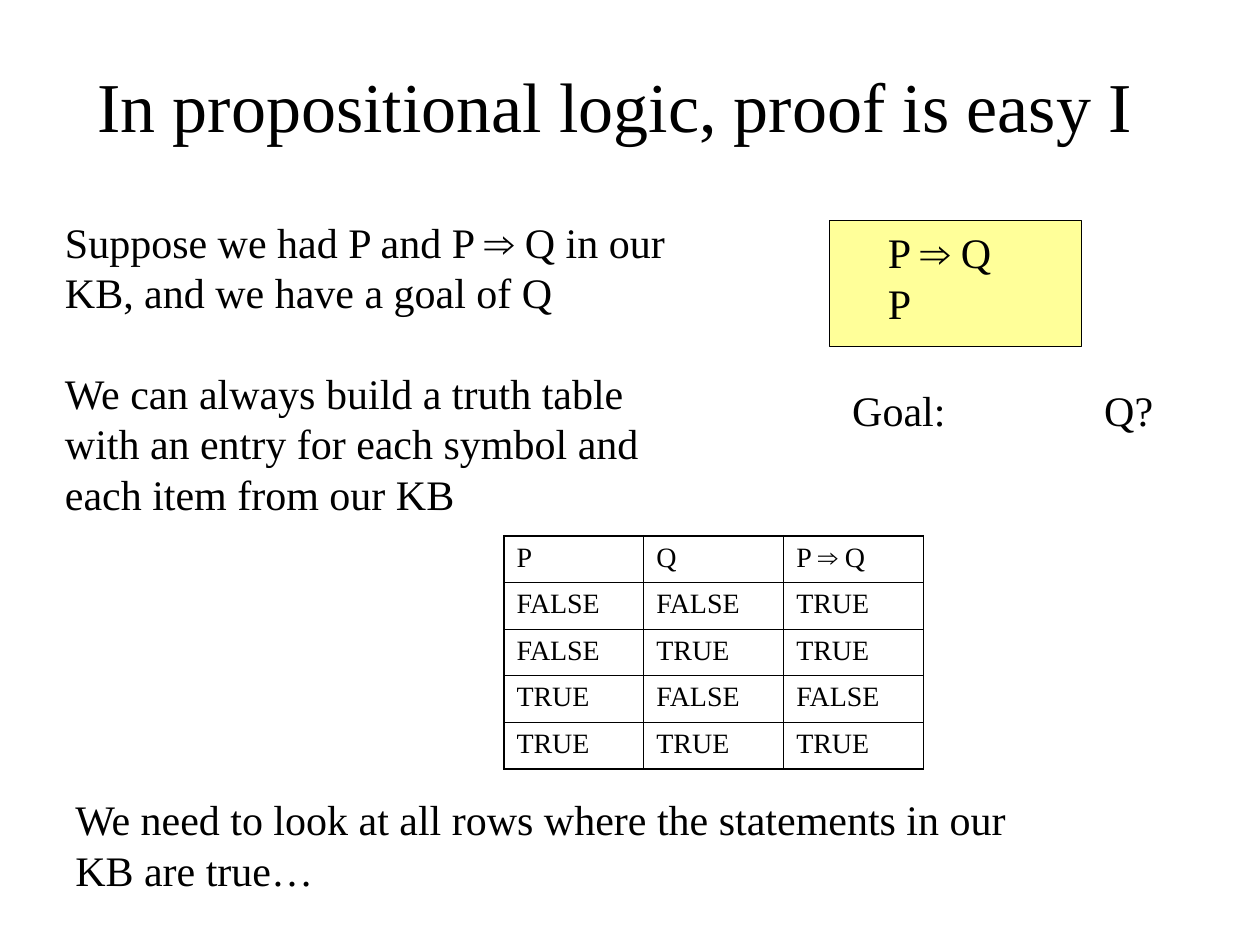
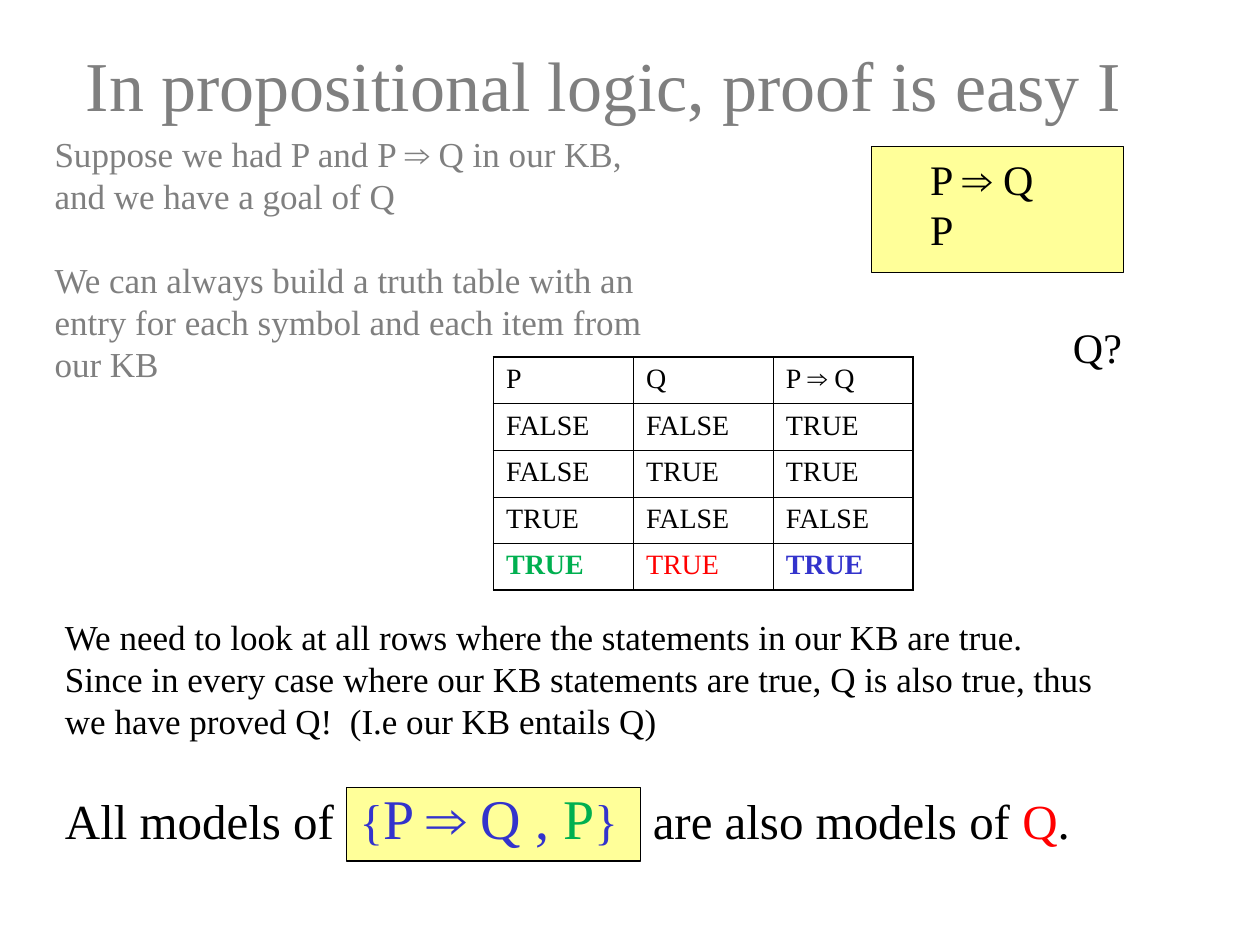
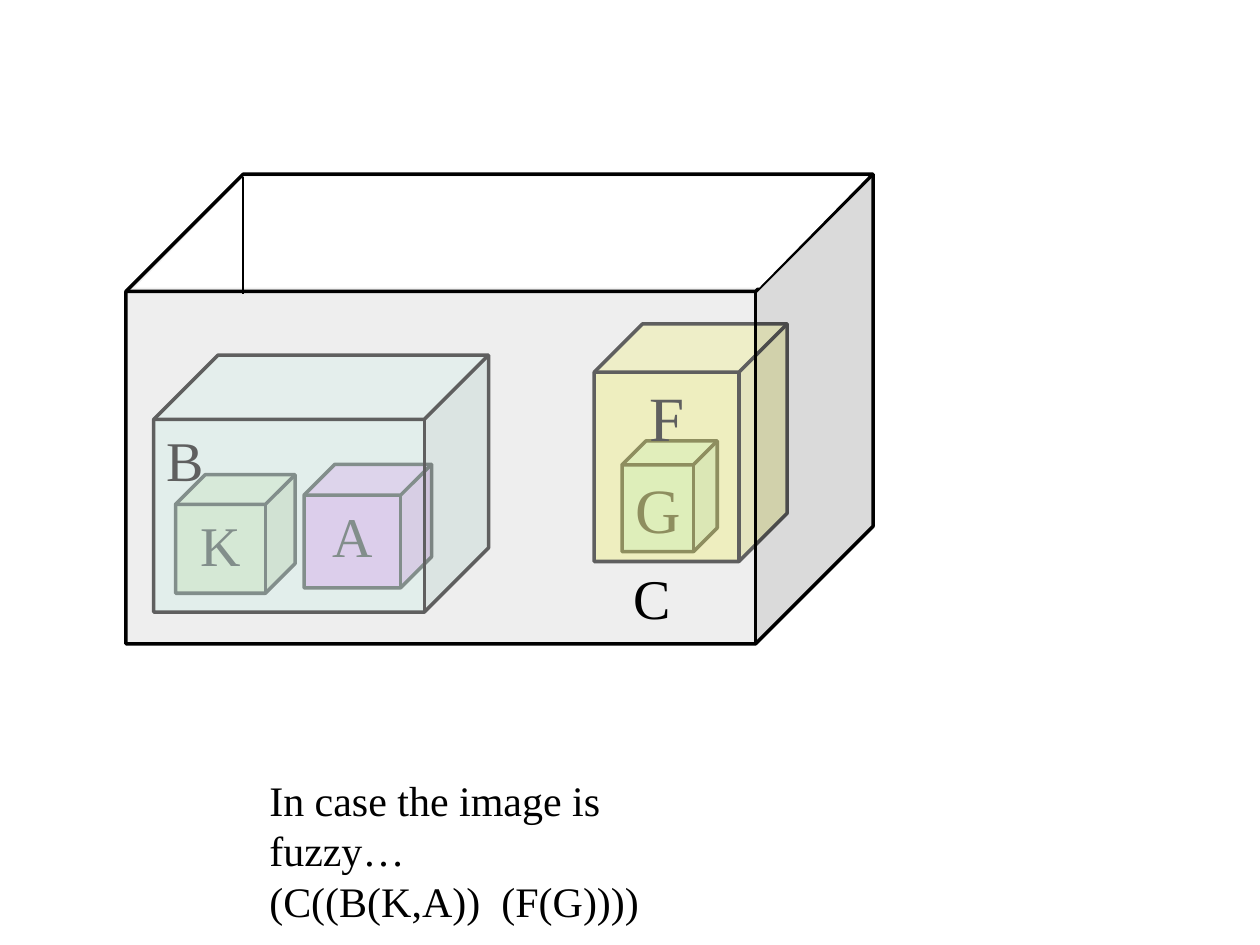
from itertools import groupby

from lxml.etree import SubElement
from pptx import Presentation
from pptx.dml.color import RGBColor
from pptx.enum.shapes import MSO_CONNECTOR as CONNECTOR, MSO_SHAPE as SHAPE
from pptx.enum.text import MSO_ANCHOR as ANCHOR, PP_ALIGN as ALIGN
from pptx.oxml.ns import qn
from pptx.util import Cm, Pt

SERIF, SYMBOL_FONT = "Times New Roman", "Arial"
BLACK, GRAY, WHITE = "000000", "7F7F7F", "FFFFFF"
YELLOW, GREEN, RED, BLUE = "FFFF99", "00B050", "FF0000", "3333CC"
LINE_FACTOR = 1.2
THIN, THICK = 0.45, 1.08
TITLE = "In propositional logic, proof is easy I"
SETUP = [
    "Suppose we had P and P ⇒ Q in our KB, and we have a goal of Q",
    "We can always build a truth table with an entry for each symbol "
    "and each item from our KB",
]
TRUTH_TABLE = [
    ["P", "Q", "P ⇒ Q"],
    ["FALSE", "FALSE", "TRUE"],
    ["FALSE", "TRUE", "TRUE"],
    ["TRUE", "FALSE", "FALSE"],
    ["TRUE", "TRUE", "TRUE"],
]


def rgb(color):
    return RGBColor.from_string(color)


def add_run(paragraph, text, size, color=BLACK, bold=False):
    """Add text, setting the implication arrow in the symbol font."""
    for is_arrow, letters in groupby(text, lambda letter: letter == "⇒"):
        run = paragraph.add_run()
        run.text = "".join(letters)
        values = {"name": SYMBOL_FONT if is_arrow else SERIF,
                  "size": Pt(size), "bold": bold}
        for name, value in values.items():
            setattr(run.font, name, value)
        run.font.color.rgb = rgb(color)


def set_line_height(paragraph, size):
    paragraph.line_spacing = Pt(LINE_FACTOR * size)


def set_tabs(paragraph, positions):
    tab_list = SubElement(paragraph._p.get_or_add_pPr(), qn("a:tabLst"))
    for position in positions:
        SubElement(tab_list, qn("a:tab"), pos=str(Cm(position)), algn="l")


def add_text(slide, box, texts, size, color=BLACK, gap=0):
    """Add a text box with one paragraph per text, gap points apart."""
    shape = slide.shapes.add_textbox(*map(Cm, box))
    frame = shape.text_frame
    frame.word_wrap = True
    for index, text in enumerate(texts):
        paragraph = frame.add_paragraph() if index else frame.paragraphs[0]
        set_line_height(paragraph, size)
        if index:
            paragraph.space_before = Pt(gap)
        add_run(paragraph, text, size, color)
    return frame


def add_title(slide, left, top, color=BLACK):
    frame = add_text(slide, (left, top, 24.33, 3.18), [TITLE], 40, color)
    frame.vertical_anchor = ANCHOR.MIDDLE
    frame.paragraphs[0].alignment = ALIGN.CENTER
    set_line_height(frame.paragraphs[0], 44)


def add_setup(slide, box, size, color=BLACK):
    add_text(slide, box, SETUP, size, color, gap=LINE_FACTOR * size)


def add_solid(slide, kind, box, fill, line_width=None):
    shape = slide.shapes.add_shape(kind, *map(Cm, box))
    shape.shadow.inherit = False
    shape.fill.solid()
    shape.fill.fore_color.rgb = rgb(fill)
    if line_width:
        shape.line.width = Pt(line_width)
        shape.line.color.rgb = rgb(BLACK)
    else:
        shape.line.fill.background()
    return shape


def add_knowledge_base(slide, left, top):
    add_solid(slide, SHAPE.RECTANGLE, (left, top, 5.08, 2.54), YELLOW, 0.75)
    add_text(slide, (left + 0.93, top, 3.2, 2.29), ["P ⇒ Q", "P"], 24)


def set_borders(cell, widths):
    properties = cell._tc.get_or_add_tcPr()
    for side, width in zip("LRTB", widths):
        line = SubElement(properties, qn(f"a:ln{side}"), w=str(Pt(width)))
        fill = SubElement(line, qn("a:solidFill"))
        SubElement(fill, qn("a:srgbClr"), val=BLACK)


def add_truth_table(slide, left, top, highlights=None):
    """Draw the table; highlights maps (row, column) to run formats."""
    highlights = highlights or {}
    rows, columns = len(TRUTH_TABLE), len(TRUTH_TABLE[0])
    column_width, row_height = 2.82, 0.94
    table = slide.shapes.add_table(
        rows, columns, Cm(left), Cm(top),
        Cm(columns * column_width), Cm(rows * row_height)).table
    table.first_row = table.horz_banding = False
    for row, texts in enumerate(TRUTH_TABLE):
        for column, text in enumerate(texts):
            cell = table.cell(row, column)
            edges = (column == 0, column == columns - 1,
                     row == 0, row == rows - 1)
            set_borders(cell, [THICK if edge else THIN for edge in edges])
            cell.fill.background()
            add_run(cell.text_frame.paragraphs[0], text, 16,
                    **highlights.get((row, column), {}))


def add_cube(slide, box, fill, opacity, label="", size=32, align=ALIGN.CENTER):
    cube = add_solid(slide, SHAPE.CUBE, box, fill, 2)
    color = cube._element.spPr.find(qn("a:solidFill")).find(qn("a:srgbClr"))
    SubElement(color, qn("a:alpha"), val=str(opacity * 1000))
    if label:
        cube.text_frame.vertical_anchor = ANCHOR.TOP
        paragraph = cube.text_frame.paragraphs[0]
        paragraph.alignment = align
        set_line_height(paragraph, size)
        add_run(paragraph, label, size)


def add_line(slide, start, end):
    line = slide.shapes.add_connector(
        CONNECTOR.STRAIGHT, *map(Cm, start + end))
    line.line.width = Pt(0.75)
    line.line.color.rgb = rgb(BLACK)
    SubElement(line._element.spPr, qn("a:effectLst"))


def build_question(slide):
    add_title(slide, 0.23, 0.43)
    add_setup(slide, (1.06, 4.23, 12.7, 6.35), 24)
    add_truth_table(slide, 10.16, 10.8)
    add_knowledge_base(slide, 16.72, 4.45)
    goal = add_text(slide, (16.93, 7.62, 6.58, 1.27), ["Goal:\tQ?"], 24)
    set_tabs(goal.paragraphs[0], [5.08])
    add_text(slide, (1.27, 15.88, 20.37, 2.29),
             ["We need to look at all rows where the statements in our "
              "KB are true…"], 24)


def build_answer(slide):
    add_solid(slide, SHAPE.RECTANGLE, (6.98, 15.88, 5.93, 1.48), YELLOW, 0.75)
    add_title(slide, 0, 0, GRAY)
    add_setup(slide, (0.85, 2.54, 12.7, 5.33), 20, GRAY)
    add_truth_table(slide, 9.95, 7.2, {
        (4, 0): {"color": GREEN, "bold": True},
        (4, 1): {"color": RED},
        (4, 2): {"color": BLUE, "bold": True},
    })
    add_knowledge_base(slide, 17.57, 2.96)
    add_text(slide, (21.38, 6.35, 1.5, 1.27), ["Q?"], 24)
    conclusion = add_text(
        slide, (1.06, 12.28, 21.38, 5),
        ["We need to look at all rows where the statements in our KB are "
         "true. Since in every case where our KB statements are true, Q is "
         "also true, thus we have proved Q!  (I.e our KB entails Q)"], 20)
    models = conclusion.add_paragraph()
    set_line_height(models, 32)
    models.space_before = Pt(LINE_FACTOR * 20)
    set_tabs(models, [5.94, 11.85])
    for text, size, color in [
        ("All models of\t", 28, BLACK),
        ("{", 28, BLUE),
        ("P ⇒ Q , ", 32, BLUE),
        ("P", 32, GREEN),
        ("}", 28, BLUE),
        ("\tare also models of ", 28, BLACK),
        ("Q", 28, RED),
        (".", 28, BLACK),
    ]:
        add_run(models, text, size, color)


def build_boxes(slide):
    add_cube(slide, (12.54, 8.89, 1.92, 2.23), "85FFE0", 33, "G", 36)
    add_cube(slide, (3.54, 9.57, 2.41, 2.39), "92D050", 33, "K")
    add_cube(slide, (6.13, 9.36, 2.57, 2.49), "CC00FF", 33, "A")
    add_cube(slide, (11.98, 6.53, 3.89, 4.79), "FFFF00", 33, "F", 36)
    add_cube(slide, (3.1, 7.16, 6.75, 5.18), "C2FFF0", 33, "B",
             align=ALIGN.LEFT)
    add_cube(slide, (2.54, 3.51, 15.06, 9.47), "D9D9D9", 44)
    opening = add_solid(slide, SHAPE.PARALLELOGRAM,
                        (2.72, 3.56, 14.78, 2.24), WHITE)
    opening.adjustments[0] = 0.98
    add_text(slide, (12.53, 11.23, 2.7, 1.63), ["C"], 32)
    add_line(slide, (4.9, 3.56), (4.9, 5.92))
    add_text(slide, (5.18, 15.49, 10.11, 2.29),
             ["In case the image is fuzzy…", "(C((B(K,A))  (F(G))))"], 24)


def main():
    presentation = Presentation()
    presentation.slide_width, presentation.slide_height = Cm(25.4), Cm(19.05)
    blank = presentation.slide_layouts[6]
    for build in (build_question, build_answer, build_boxes):
        build(presentation.slides.add_slide(blank))
    presentation.save("out.pptx")


if __name__ == "__main__":
    main()
